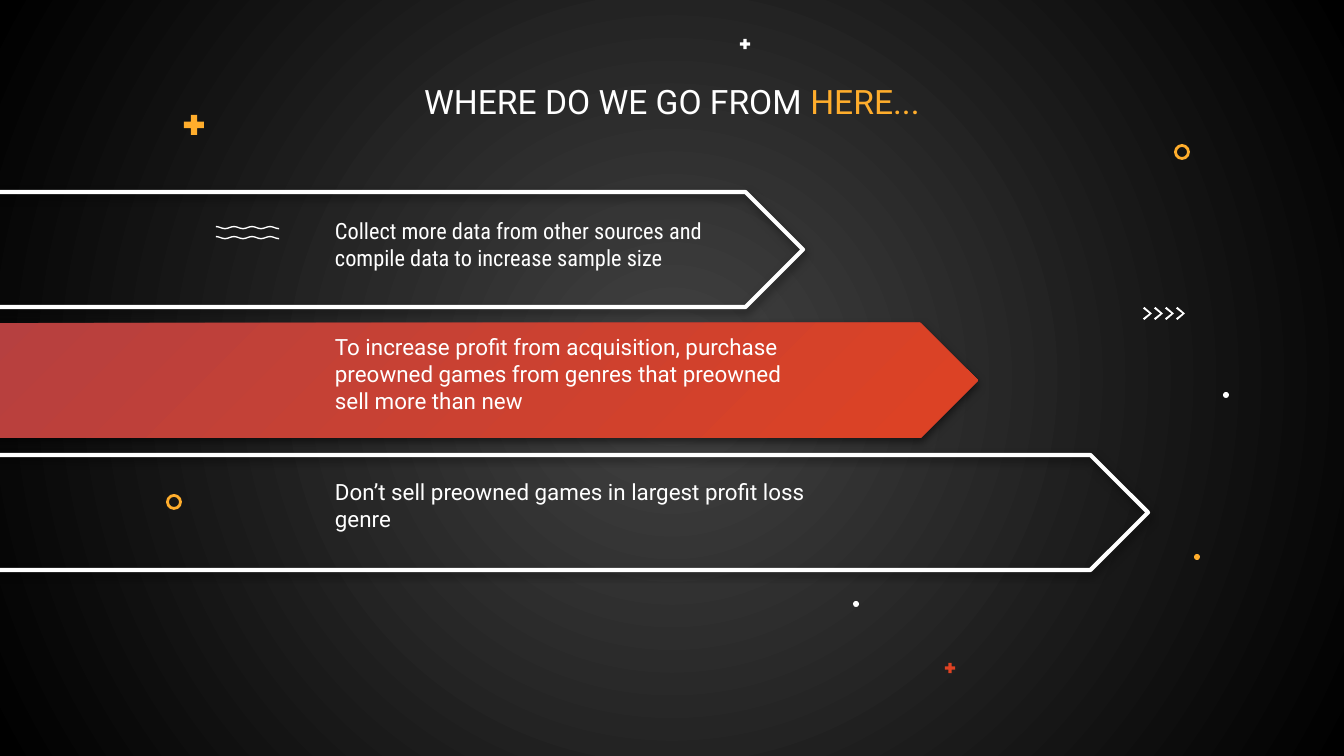
"""Build the 'Where do we go from here' slide with three arrow banners."""
from math import cos, pi

from lxml import etree
from pptx import Presentation
from pptx import util as u
from pptx.dml.color import RGBColor
from pptx.enum import shapes, text
from pptx.oxml.ns import qn

PX = 914400 / 134.4
COLORS = {"white": "FFFFFF", "amber": "FFAD2C", "red": "DE4223",
          "rose": "B64040", "gray": "434343", "black": "000000"}

TITLE = [("WHERE DO WE GO FROM ", "white"), ("HERE...", "amber")]
STEPS = [
    {"text": "Collect more data from other sources and compile data to increase sample size",
     "font": "Roboto Condensed", "arrow": (-26, 192, 829), "box": (335, 198, 407, 105)},
    {"text": "To increase profit from acquisition, purchase preowned games "
             "from genres that preowned sell more than new",
     "font": "Roboto", "arrow": (-17, 323, 995), "box": (335, 341, 478, 78), "filled": True},
    {"text": "Don’t sell preowned games in largest profit loss genre",
     "font": "Roboto", "arrow": (-26, 455, 1174), "box": (335, 473, 478, 78)},
]
ARROW_HEIGHT = 115

PLUSES = [(194, 125, 27, "amber"), (745, 44, 14, "white"), (950, 668, 14, "red")]
DOTS = [(1226, 395, 6, "white"), (856, 604, 6, "white"), (1197, 557, 6, "amber")]
RINGS = [(1182, 152, 13, "amber"), (174, 502, 13, "amber")]
WAVES = {"left": 216, "tops": (226, 236), "width": 63, "period": 18, "thickness": 1.4}
CHEVRON = [(0, 1.5), (1.5, 0), (9, 6.5), (1.5, 13), (0, 11.5), (6.5, 6.5)]
CHEVRONS = {"left": 1143, "top": 307, "step": 11, "count": 4}


def px(*values):
    return [u.Emu(round(value * PX)) for value in values]


def rgb(name):
    return RGBColor.from_string(COLORS[name])


def add_xml(parent, tag, **attributes):
    return etree.SubElement(parent, qn(tag), attributes)


def radial(fill, owner, inner, outer, focus):
    fill.gradient()
    for stop, name in zip(fill.gradient_stops, (inner, outer)):
        stop.color.rgb = rgb(name)
    gradient = next(owner.iter(qn("a:gradFill")))
    direction = etree.Element(qn("a:path"), {"path": "circle"})
    add_xml(direction, "a:fillToRect", **dict(zip("ltrb", map(str, focus))))
    gradient.replace(gradient.find(qn("a:lin")), direction)


def paint(shape, fill=None, line=None, width=1.5):
    shape.shadow.inherit = False
    if fill:
        shape.fill.solid()
        shape.fill.fore_color.rgb = rgb(fill)
    else:
        shape.fill.background()
    if line:
        shape.line.color.rgb = rgb(line)
        shape.line.width = u.Pt(width)
    else:
        shape.line.fill.background()


def add_mark(page, kind, center_x, center_y, size, **look):
    shape = page.shapes.add_shape(
        kind, *px(center_x - size / 2, center_y - size / 2, size, size))
    paint(shape, **look)
    return shape


def add_outline(page, points):
    scaled = [(x * 10, y * 10) for x, y in points]
    builder = page.shapes.build_freeform(*scaled[0], scale=PX / 10)
    builder.add_line_segments(scaled[1:], close=True)
    paint(builder.convert_to_shape(), fill="white")


def add_wave(page, left, top, width, period, thickness):
    edge = [(left + x, top + 1 - cos(2 * pi * x / period)) for x in range(width + 1)]
    add_outline(page, edge + [(x, y + thickness) for x, y in reversed(edge)])


def add_arrow(page, left, top, width, filled):
    arrow = page.shapes.add_shape(
        shapes.MSO_SHAPE.PENTAGON, *px(left, top, width, ARROW_HEIGHT))
    arrow.adjustments[0] = 0.5
    if filled:
        paint(arrow)
        radial(arrow.fill, arrow.element, "red", "rose", (100000, 100000, 0, 0))
    else:
        paint(arrow, line="white", width=2.25)
        add_xml(arrow.element.spPr.find(qn("a:ln")), "a:round")
    effects = arrow.element.spPr.find(qn("a:effectLst"))
    shadow = add_xml(effects, "a:outerShdw", blurRad=str(u.Pt(4.5)), dist=str(u.Pt(1.5)),
                     dir="5400000", algn="bl", rotWithShape="0")
    add_xml(add_xml(shadow, "a:srgbClr", val=COLORS["black"]), "a:alpha", val="50000")


def add_text(page, spans, place, font="Roboto", size=12, bottom=0,
             align=text.PP_ALIGN.LEFT, anchor=text.MSO_ANCHOR.TOP):
    frame = page.shapes.add_textbox(*px(*place)).text_frame
    frame.word_wrap = True
    frame.vertical_anchor = anchor
    frame.margin_left = frame.margin_top = frame.margin_right = 0
    frame.margin_bottom = px(bottom)[0]
    para = frame.paragraphs[0]
    para.alignment = align
    for words, color in spans:
        span = para.add_run()
        span.text = words
        span.font.name = font
        span.font.size = u.Pt(size)
        span.font.color.rgb = rgb(color)


def main():
    deck = Presentation()
    deck.slide_width, deck.slide_height = px(1344, 756)
    page = deck.slides.add_slide(deck.slide_layouts[6])
    radial(page.background.fill, page.element, "gray", "black", (50000,) * 4)

    for top in WAVES["tops"]:
        add_wave(page, WAVES["left"], top, WAVES["width"], WAVES["period"], WAVES["thickness"])
    for x, y, size, color in PLUSES:
        plus = add_mark(page, shapes.MSO_SHAPE.MATH_PLUS, x, y, size, fill=color)
        plus.adjustments[0] = 0.235
    for x, y, size, color in DOTS:
        add_mark(page, shapes.MSO_SHAPE.OVAL, x, y, size, fill=color)
    for x, y, size, color in RINGS:
        add_mark(page, shapes.MSO_SHAPE.OVAL, x, y, size, line=color)
    for index in range(CHEVRONS["count"]):
        left = CHEVRONS["left"] + index * CHEVRONS["step"]
        add_outline(page, [(left + x, CHEVRONS["top"] + y) for x, y in CHEVRON])

    for step in STEPS:
        add_arrow(page, *step["arrow"], filled=step.get("filled", False))
    add_text(page, TITLE, (215, 81, 914, 78), size=18, align=text.PP_ALIGN.CENTER)
    for step in STEPS:
        add_text(page, [(step["text"], "white")], step["box"], font=step["font"],
                 bottom=13, anchor=text.MSO_ANCHOR.MIDDLE)
    deck.save("out.pptx")


if __name__ == "__main__":
    main()
